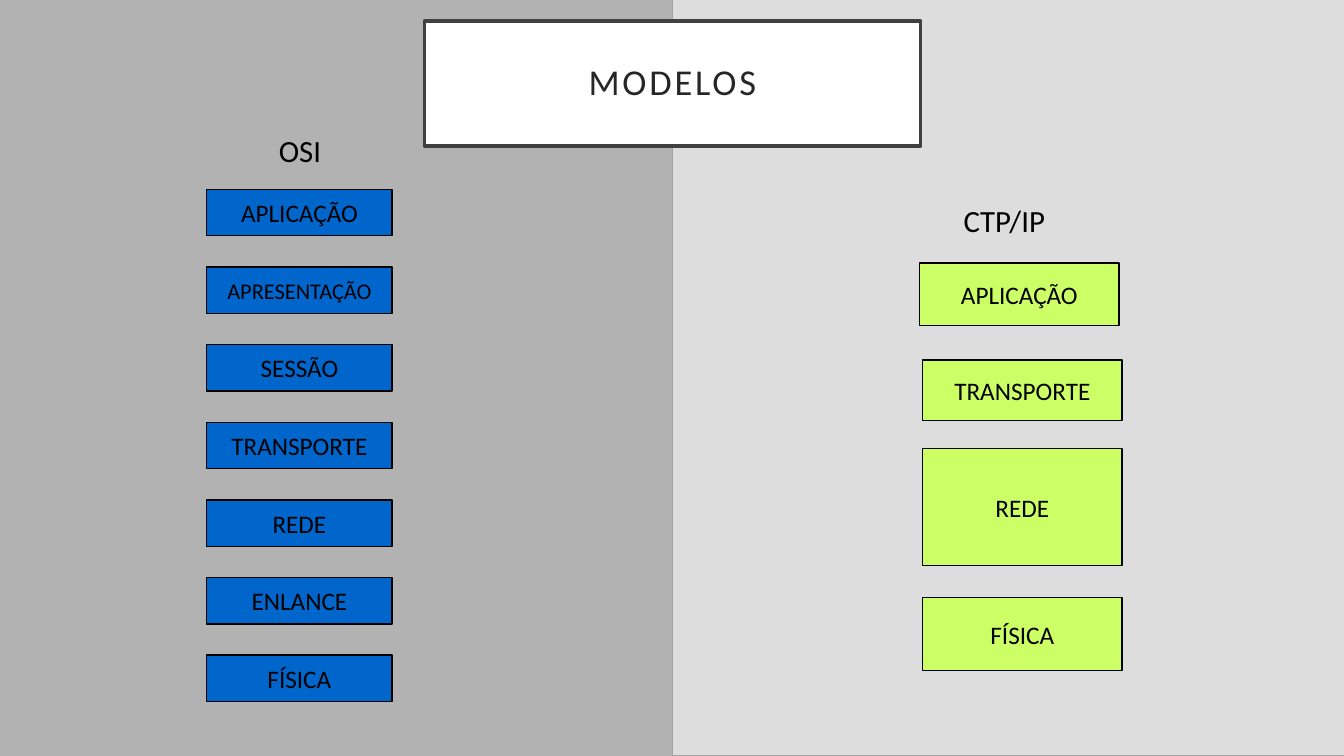
from dataclasses import dataclass

from pptx import Presentation
from pptx.dml.color import RGBColor
from pptx.enum.shapes import MSO_SHAPE
from pptx.enum.text import MSO_ANCHOR, MSO_AUTO_SIZE, PP_ALIGN
from pptx.util import Inches, Pt

RECT = MSO_SHAPE.RECTANGLE
MIDDLE = MSO_ANCHOR.MIDDLE
CENTER = PP_ALIGN.CENTER
LEFT = PP_ALIGN.LEFT
FIXED = MSO_AUTO_SIZE.NONE


@dataclass(frozen=True)
class Theme:
    """Colours, font and type sizes of the slide."""
    font: str = "Calibri"
    back: str = "F2F2F2"
    dark: str = "B2B2B2"
    light: str = "DDDDDD"
    edge: str = "A3A3A3"
    white: str = "FFFFFF"
    frame: str = "404040"
    title: str = "262626"
    ink: str = "000000"
    blue: str = "0066CC"
    lime: str = "CCFF66"
    head: int = 26
    label: int = 22
    layer: int = 18
    small: int = 16


THEME = Theme()
OSI = ["APLICAÇÃO", "APRESENTAÇÃO", "SESSÃO", "TRANSPORTE", "REDE",
       "ENLANCE", "FÍSICA"]
TCP = [("APLICAÇÃO", 9.12, 2.61, 0.62), ("TRANSPORTE", 9.15, 3.57, 0.6),
       ("REDE", 9.15, 4.45, 1.16), ("FÍSICA", 9.15, 5.93, 0.72)]


def rgb(code):
    """Turn a hex code into a colour."""
    return RGBColor.from_string(code)


def place(shape, box):
    """Move and size a shape in inches."""
    shape.left, shape.top, shape.width, shape.height = map(Inches, box)


def paint(shape, fill, line=None, width=1):
    """Fill a shape and draw its outline."""
    shape.fill.solid()
    shape.fill.fore_color.rgb = rgb(fill)
    if line:
        shape.line.color.rgb = rgb(line)
        shape.line.width = Pt(width)
    else:
        shape.line.fill.background()


def write(shape, text, size, color=THEME.ink, align=CENTER):
    """Set one line of text and return its run."""
    frame = shape.text_frame
    frame.text = text
    frame.vertical_anchor = MIDDLE
    para = frame.paragraphs[0]
    para.alignment = align
    run = para.runs[0]
    run.font.name = THEME.font
    run.font.size = Pt(size)
    run.font.bold = False
    run.font.color.rgb = rgb(color)
    return run


def add_rect(slide, box, fill, line=None):
    """Add a flat rectangle."""
    shape = slide.shapes.add_shape(RECT, *map(Inches, box))
    shape.shadow.inherit = False
    paint(shape, fill, line)
    return shape


def add_panel(slide, box, fill, line=None):
    """Add a half of the backdrop behind all else."""
    panel = add_rect(slide, box, fill, line)
    slide.shapes._spTree.insert(2, panel._element)


def add_layer(slide, text, box, fill, size=THEME.layer):
    """Add one named layer of a model."""
    write(add_rect(slide, box, fill, THEME.ink), text, size)


def set_title(slide, text):
    """Format the framed title."""
    title = slide.shapes.title
    place(title, (4.21, 0.21, 4.92, 1.24))
    paint(title, THEME.white, THEME.frame, 2.5)
    run = write(title, text, THEME.head, THEME.title)
    run._r.get_or_add_rPr().set("spc", "200")
    frame = title.text_frame
    frame.auto_size = FIXED
    frame.paragraphs[0].line_spacing = 0.9
    frame.margin_left = frame.margin_right = Inches(0.2)
    frame.margin_top = frame.margin_bottom = Inches(0.2)


def set_label(slide, text):
    """Format the body placeholder as the left heading."""
    body = slide.placeholders[1]
    place(body, (2.32, 1.26, 1.31, 0.46))
    write(body, text, THEME.label)
    body.text_frame.auto_size = FIXED
    body.text_frame.paragraphs[0].space_before = Pt(0)


def add_label(slide, text, box):
    """Add a heading in a text box."""
    label = slide.shapes.add_textbox(*map(Inches, box))
    write(label, text, THEME.label, align=LEFT)
    label.text_frame.word_wrap = False


def main():
    """Build and save the slide."""
    deck = Presentation()
    deck.slide_width, deck.slide_height = Inches(13.33), Inches(7.5)
    slide = deck.slides.add_slide(deck.slide_layouts[2])
    slide.background.fill.solid()
    slide.background.fill.fore_color.rgb = rgb(THEME.back)
    add_panel(slide, (6.67, -0.02, 6.67, 7.52), THEME.light, THEME.edge)
    add_panel(slide, (0, 0, 6.67, 7.5), THEME.dark)
    set_title(slide, "MODELOS")
    set_label(slide, "OSI")
    add_label(slide, "CTP/IP", (9.46, 1.95, 1.09, 0.47))
    for row, name in enumerate(OSI):
        size = THEME.small if len(name) > 10 else THEME.layer
        box = (2.05, 1.88 + 0.77 * row, 1.84, 0.46)
        add_layer(slide, name, box, THEME.blue, size)
    for name, left, top, tall in TCP:
        add_layer(slide, name, (left, top, 1.98, tall), THEME.lime)
    deck.save("out.pptx")


if __name__ == "__main__":
    main()
